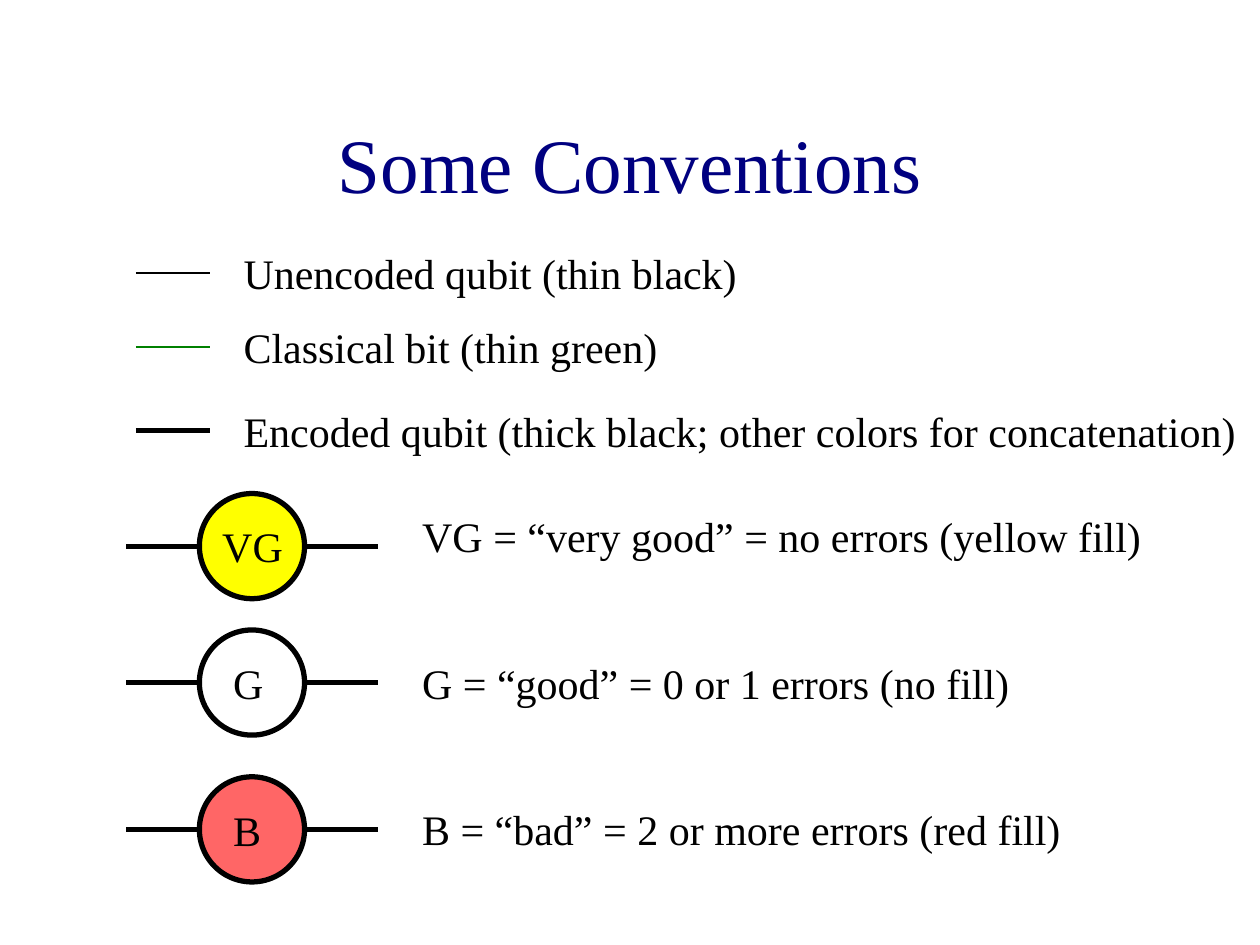
from dataclasses import dataclass

from lxml import etree
from pptx import Presentation
from pptx import util as u
from pptx.dml.color import RGBColor
from pptx.enum import shapes, text
from pptx.oxml.ns import qn


@dataclass(frozen=True)
class Theme:
    font: str = "Times New Roman"
    title_size: float = 44
    body_size: float = 24
    thin: float = 1
    thick: float = 3
    navy: str = "000080"
    black: str = "000000"
    green: str = "008000"
    yellow: str = "FFFF00"
    red: str = "FF6666"


class Deck:
    """Adds styled elements to the current slide; all lengths are centimetres."""

    def __init__(self, theme):
        self.theme = theme
        self.prs = Presentation()
        self.prs.slide_width, self.prs.slide_height = u.Cm(25.4), u.Cm(19.05)
        self.s = None

    def new_slide(self):
        self.s = self.prs.slides.add_slide(self.prs.slide_layouts[6])

    def _text(self, words, x, y, w, h, size, color):
        sp = self.s.shapes.add_textbox(u.Cm(x), u.Cm(y), u.Cm(w), u.Cm(h))
        tf = sp.text_frame
        tf.word_wrap = True
        p = tf.paragraphs[0]
        p.text = words
        p.font.name = self.theme.font
        p.font.size = u.Pt(size)
        p.font.color.rgb = RGBColor.from_string(color)
        return tf

    def title(self, words, x, y, w, h):
        tf = self._text(words, x, y, w, h, self.theme.title_size, self.theme.navy)
        tf.vertical_anchor = text.MSO_ANCHOR.MIDDLE
        tf.paragraphs[0].alignment = text.PP_ALIGN.CENTER

    def label(self, words, x, y, w):
        tf = self._text(words, x, y, w, LABEL_H, self.theme.body_size, self.theme.black)
        tf.auto_size = text.MSO_AUTO_SIZE.SHAPE_TO_FIT_TEXT

    def wire(self, x1, x2, y, color, width):
        line = self.s.shapes.add_connector(
            shapes.MSO_CONNECTOR.STRAIGHT, u.Cm(x1), u.Cm(y), u.Cm(x2), u.Cm(y))
        line.line.color.rgb = RGBColor.from_string(color)
        line.line.width = u.Pt(width)
        etree.SubElement(line._element.spPr, qn("a:effectLst"))

    def circle(self, x, y, d, fill):
        sp = self.s.shapes.add_shape(
            shapes.MSO_SHAPE.OVAL, u.Cm(x), u.Cm(y), u.Cm(d), u.Cm(d))
        sp.shadow.inherit = False
        if fill:
            sp.fill.solid()
            sp.fill.fore_color.rgb = RGBColor.from_string(fill)
        else:
            sp.fill.background()
        sp.line.color.rgb = RGBColor.from_string(self.theme.black)
        sp.line.width = u.Pt(self.theme.thick)


LABEL_H = 1.27
WIRE_X, WIRE_END = 2.74, 4.24
NOTE_X = 4.66
STATE_X, STATE_END = 2.54, 7.62
DIAMETER = 2.12
CIRCLE_X = (STATE_X + STATE_END - DIAMETER) / 2
STATE_NOTE_X = 8.26


def main():
    t = Theme()
    deck = Deck(t)
    deck.new_slide()
    deck.title("Some Conventions", 1.9, 1.7, 21.6, 3.18)

    # wire height, colour, line width, note, note width
    wires = [
        (5.5, t.black, t.thin, "Unencoded qubit (thin black)", 11.43),
        (6.99, t.green, t.thin, "Classical bit (thin green)", 9.95),
        (8.68, t.black, t.thick,
         "Encoded qubit (thick black; other colors for concatenation)", 20.74),
    ]
    for y, color, width, note, note_w in wires:
        deck.wire(WIRE_X, WIRE_END, y, color, width)
        deck.label(note, NOTE_X, y - LABEL_H / 2, note_w)

    # centre height, fill, name, name left, note, note top, note width
    states = [
        (11.01, t.yellow, "VG", 4.23,
         "VG = “very good” = no errors (yellow fill)", 10.16, 15.24),
        (13.76, None, "G", 4.45,
         "G = “good” = 0 or 1 errors (no fill)", 13.12, 14.4),
        (16.72, t.red, "B", 4.45,
         "B = “bad” = 2 or more errors (red fill)", 16.08, 14.18),
    ]
    for y, fill, name, name_x, note, note_y, note_w in states:
        deck.circle(CIRCLE_X, y - DIAMETER / 2, DIAMETER, fill)
        deck.wire(STATE_X, CIRCLE_X, y, t.black, t.thick)
        deck.wire(CIRCLE_X + DIAMETER, STATE_END, y, t.black, t.thick)
        deck.label(name, name_x, y - LABEL_H / 2, 1.9)
        deck.label(note, STATE_NOTE_X, note_y, note_w)

    deck.prs.save("out.pptx")


if __name__ == "__main__":
    main()
